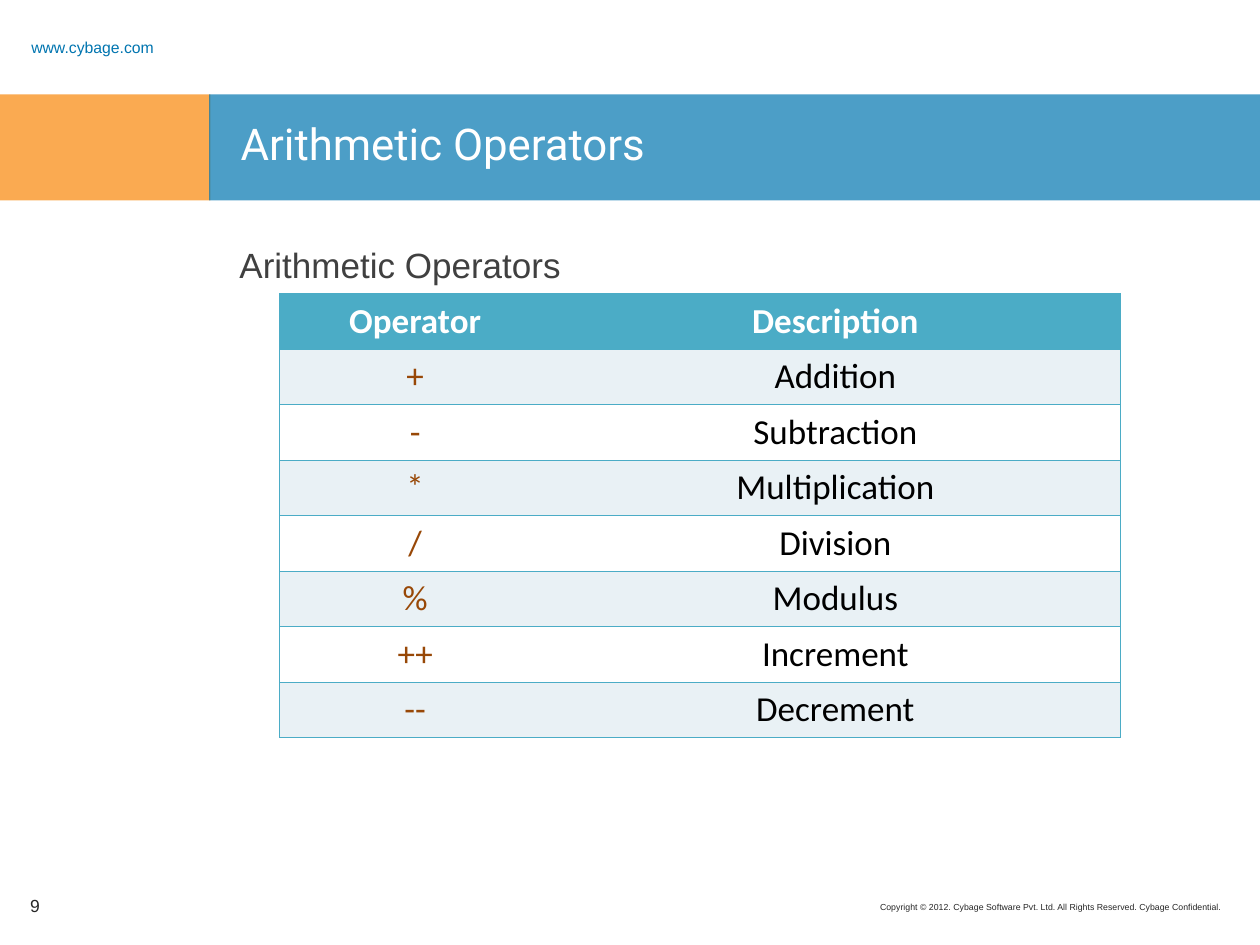
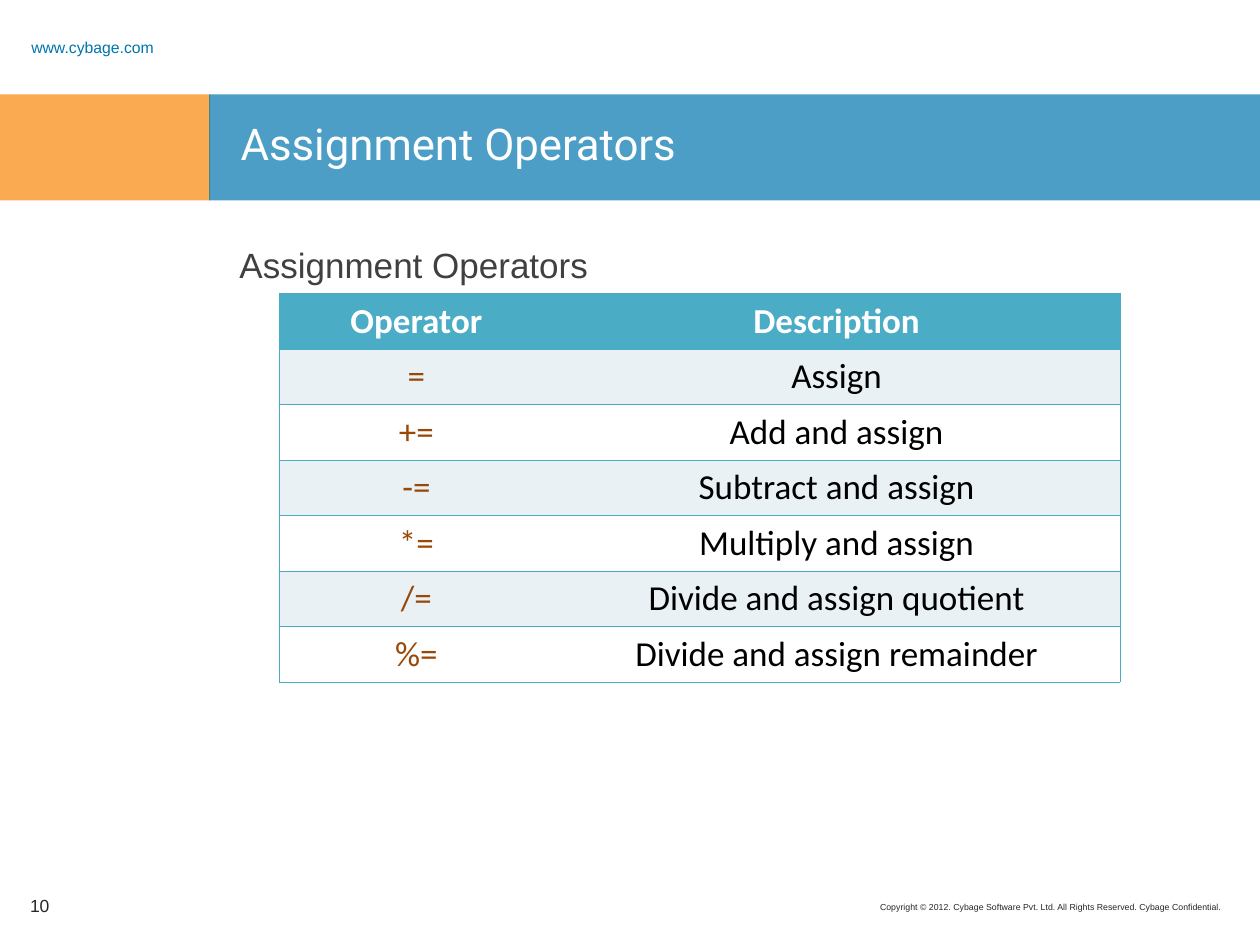
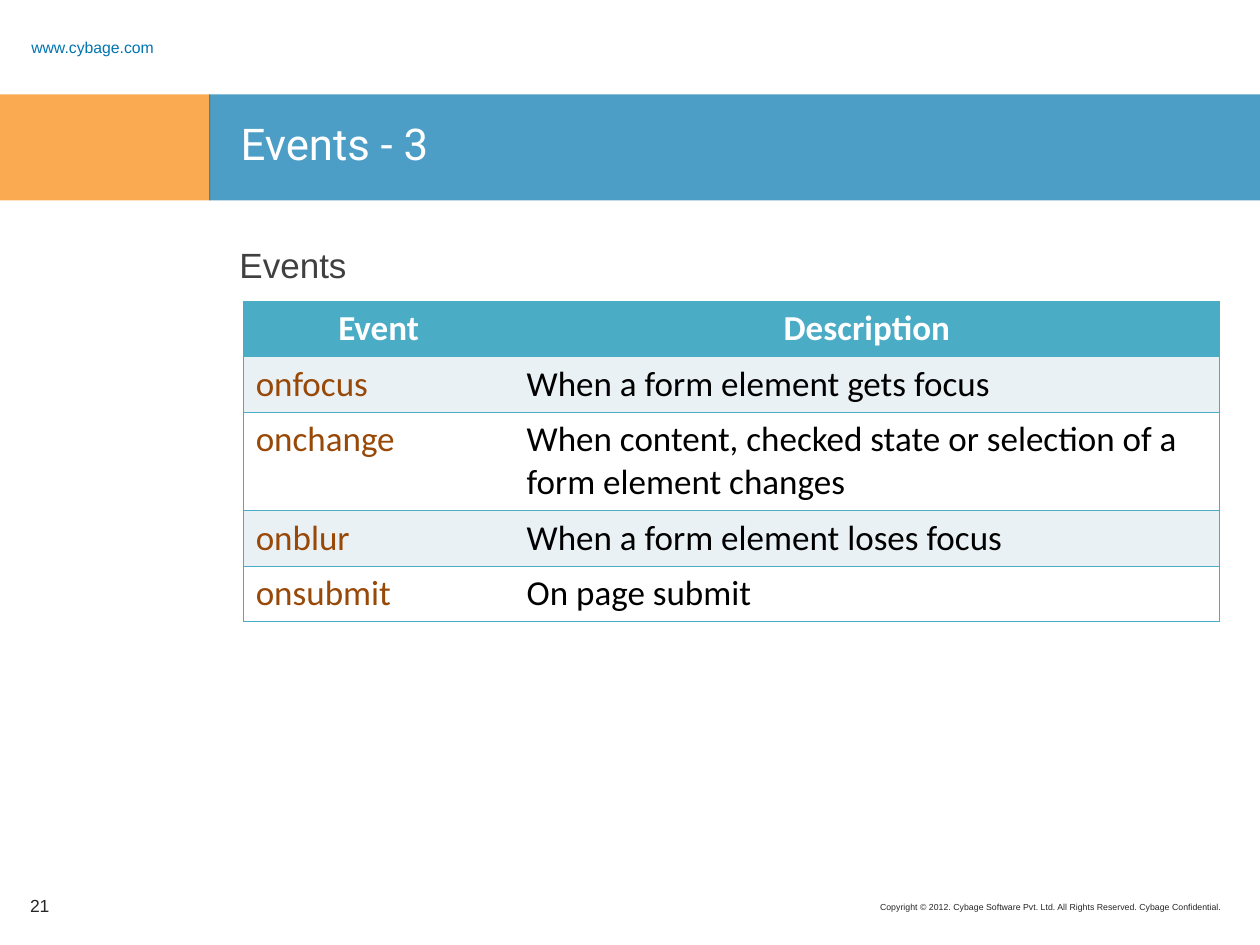
from dataclasses import dataclass

from lxml.etree import SubElement
from pptx import Presentation
from pptx.dml.color import RGBColor
from pptx.enum.shapes import MSO_SHAPE as Shape
from pptx.enum.text import MSO_ANCHOR as Anchor, MSO_AUTO_SIZE as AutoSize, PP_ALIGN as Align
from pptx.oxml.ns import qn
from pptx.util import Inches, Pt

SITE = "www.cybage.com"
COPYRIGHT = "Copyright © 2012. Cybage Software Pvt. Ltd. All Rights Reserved. Cybage Confidential."

PAGES = [
    {
        "number": "9",
        "title": "Arithmetic Operators",
        "lead": "Arithmetic Operators",
        "body_height": 3.95,
        "table_at": (2.22, 2.33),
        "columns": (2.15, 4.52),
        "align": Align.CENTER,
        "rows": [
            ("Operator", "Description"),
            ("+", "Addition"),
            ("-", "Subtraction"),
            ("*", "Multiplication"),
            ("/", "Division"),
            ("%", "Modulus"),
            ("++", "Increment"),
            ("--", "Decrement"),
        ],
    },
    {
        "number": "10",
        "title": "Assignment Operators",
        "lead": "Assignment Operators",
        "body_height": 3.95,
        "table_at": (2.22, 2.33),
        "columns": (2.17, 4.5),
        "align": Align.CENTER,
        "rows": [
            ("Operator", "Description"),
            ("=", "Assign"),
            ("+=", "Add and assign"),
            ("-=", "Subtract and assign"),
            ("*=", "Multiply and assign"),
            ("/=", "Divide and assign quotient"),
            ("%=", "Divide and assign remainder"),
        ],
    },
    {
        "number": "21",
        "title": "Events - 3",
        "lead": "Events",
        "body_height": 5.42,
        "table_at": (1.93, 2.39),
        "columns": (2.15, 5.6),
        "align": Align.LEFT,
        "rows": [
            ("Event", "Description"),
            ("onfocus", "When a form element gets focus"),
            ("onchange", "When content, checked state or selection of a form element changes"),
            ("onblur", "When a form element loses focus"),
            ("onsubmit", "On page submit"),
        ],
    },
]


@dataclass(frozen=True)
class Theme:
    heading_font: str = "Roboto"
    body_font: str = "Arial"
    table_font: str = "Calibri"
    title_size: float = 25
    text_size: float = 20
    number_size: float = 10
    site_size: float = 9
    copyright_size: float = 5
    orange: str = "F88608"
    blue: str = "0075B0"
    teal: str = "4BACC6"
    stripe: str = "E9F1F5"
    white: str = "FFFFFF"
    black: str = "000000"
    brown: str = "984807"
    gray: str = "404040"
    dark: str = "262626"
    band_opacity: int = 70
    border_width: float = 0.45


THEME = Theme()
BAND_TOP, BAND_HEIGHT = 0.75, 0.84
BANDS = [(0, 1.67, THEME.orange), (1.66, 8.34, THEME.blue)]
ROW_HEIGHT = 0.44
PLAIN_TABLE_STYLE = "{2D5ABB26-0587-4C30-8999-92F81FD0307C}"


def style(paragraph, font_name, size, color, bold=False, align=Align.LEFT):
    paragraph.alignment = align
    font = paragraph.font
    font.name, font.size, font.bold = font_name, Pt(size), bold
    font.color.rgb = RGBColor.from_string(color)


def place(shape, left, top, width, height):
    shape.left, shape.top = Inches(left), Inches(top)
    shape.width, shape.height = Inches(width), Inches(height)


def write(box, text, anchor=Anchor.TOP):
    frame = box.text_frame
    frame.word_wrap = True
    frame.auto_size = AutoSize.NONE
    frame.vertical_anchor = anchor
    frame.text = text
    return frame.paragraphs[0]


def add_label(page, at, text, size, color, anchor=Anchor.MIDDLE, align=Align.LEFT):
    box = page.shapes.add_textbox(*map(Inches, at))
    paragraph = write(box, text, anchor)
    style(paragraph, THEME.body_font, size, color, align=align)
    return paragraph


def add_bands(page):
    for left, width, color in BANDS:
        band = page.shapes.add_shape(
            Shape.RECTANGLE, *map(Inches, (left, BAND_TOP, width, BAND_HEIGHT)))
        band.shadow.inherit = False
        band.line.fill.background()
        band.fill.solid()
        band.fill.fore_color.rgb = RGBColor.from_string(color)
        tint = band._element.spPr.find(".//" + qn("a:srgbClr"))
        SubElement(tint, qn("a:alpha"), val=str(THEME.band_opacity * 1000))


def add_frame(page, number):
    add_label(page, (6.24, 7.11, 3.56, 0.2), COPYRIGHT, THEME.copyright_size,
              THEME.dark, Anchor.TOP, Align.RIGHT)
    site = add_label(page, (0.15, 0.24, 1.5, 0.19), SITE, THEME.site_size, THEME.blue)
    site.line_spacing = 1.5
    add_label(page, (0.14, 6.99, 0.54, 0.4), number, THEME.number_size, THEME.dark)
    add_bands(page)


def fill_title(page, text):
    title = page.shapes.title
    place(title, 1.81, 0.88, 7.94, 0.62)
    style(write(title, text), THEME.heading_font, THEME.title_size, THEME.white)
    page.shapes._spTree.append(title._element)


def fill_body(page, text, height):
    body = page.placeholders[1]
    place(body, 1.8, 1.88, 7.95, height)
    paragraph = write(body, text)
    paragraph.space_before = Pt(0)
    properties = paragraph._p.get_or_add_pPr()
    properties.set("marL", str(Inches(0.25)))
    properties.set("indent", str(-Inches(0.25)))
    SubElement(properties, qn("a:buNone"))
    style(paragraph, THEME.body_font, THEME.text_size, THEME.gray)


def add_borders(cell, sides):
    properties = cell._tc.get_or_add_tcPr()
    for side in sides:
        line = SubElement(properties, qn(f"a:ln{side}"), w=str(Pt(THEME.border_width)))
        fill = SubElement(line, qn("a:solidFill"))
        SubElement(fill, qn("a:srgbClr"), val=THEME.teal)


def format_cell(cell, text, row, column, align):
    cell.text = text
    header = row == 0
    if header:
        fill, color, align = THEME.teal, THEME.white, Align.CENTER
    else:
        fill = THEME.stripe if row % 2 else THEME.white
        color = THEME.black if column else THEME.brown
    style(cell.text_frame.paragraphs[0], THEME.table_font, THEME.text_size,
          color, header, align)
    add_borders(cell, "RTB" if column else "LTB")
    cell.fill.solid()
    cell.fill.fore_color.rgb = RGBColor.from_string(fill)


def add_listing(page, rows, at, columns, align):
    size = (sum(columns), ROW_HEIGHT * len(rows))
    table = page.shapes.add_table(
        len(rows), len(columns), *map(Inches, at + size)).table
    table._tbl.tblPr.find(qn("a:tableStyleId")).text = PLAIN_TABLE_STYLE
    table.first_row = table.horz_banding = False
    for column, width in zip(table.columns, columns):
        column.width = Inches(width)
    for row, texts in enumerate(rows):
        wraps = len(texts[1]) > 50
        table.rows[row].height = Inches(0.78 if wraps else ROW_HEIGHT)
        for column, text in enumerate(texts):
            format_cell(table.cell(row, column), text, row, column, align)


def main():
    deck = Presentation()
    deck.slide_width, deck.slide_height = Inches(10), Inches(7.5)
    for content in PAGES:
        page = deck.slides.add_slide(deck.slide_layouts[1])
        add_frame(page, content["number"])
        fill_title(page, content["title"])
        fill_body(page, content["lead"], content["body_height"])
        add_listing(page, content["rows"], content["table_at"],
                    content["columns"], content["align"])
    deck.save("out.pptx")


if __name__ == "__main__":
    main()
